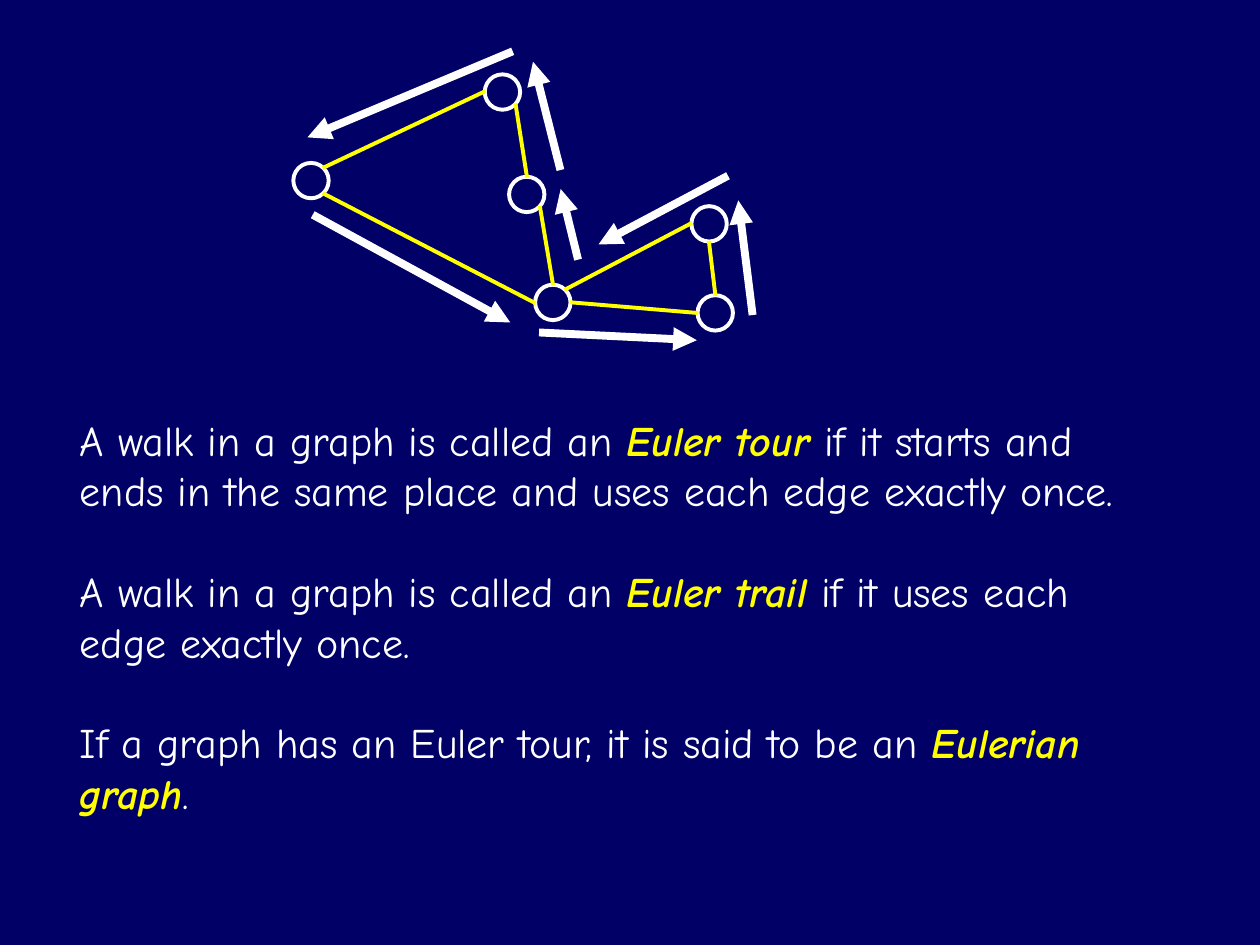
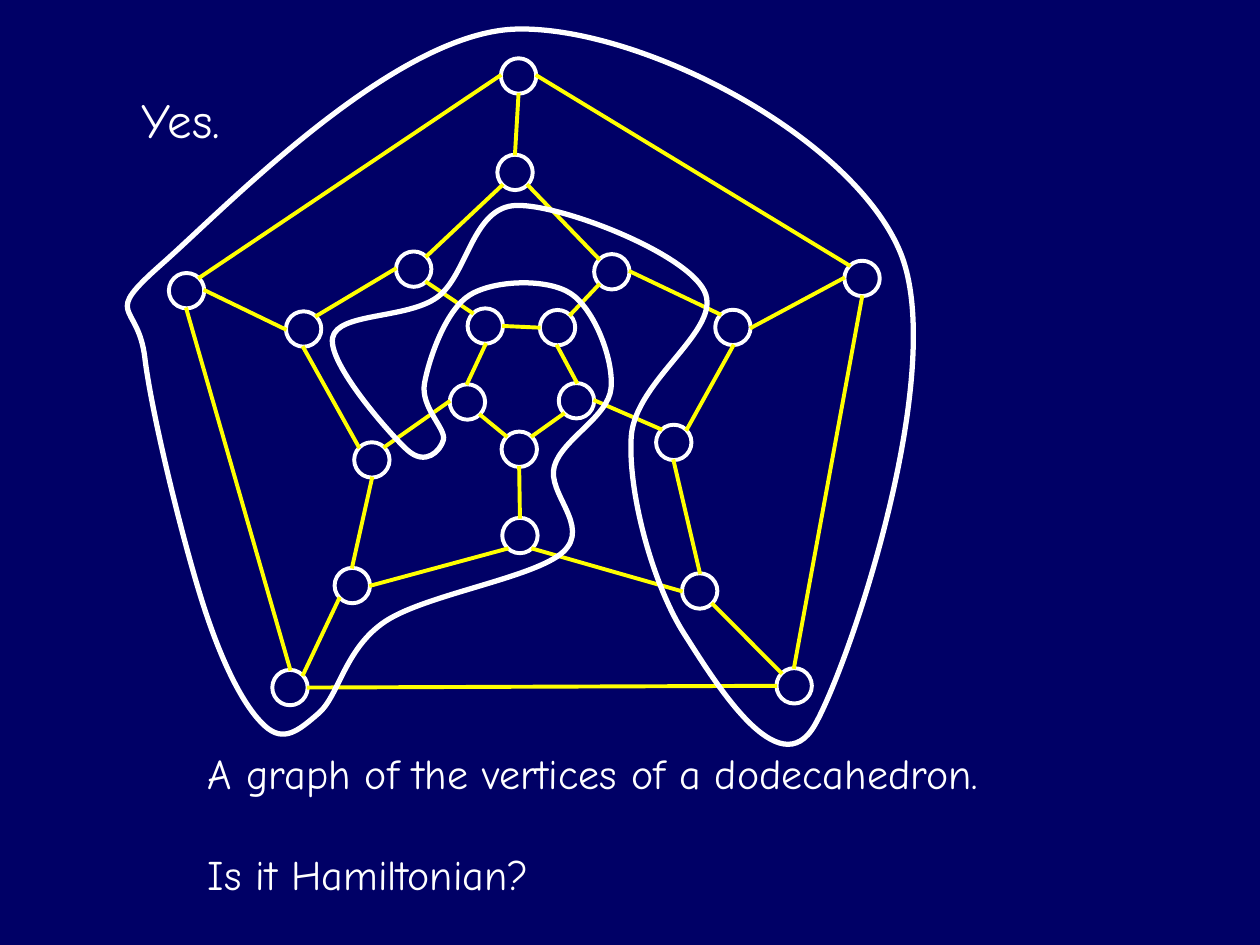
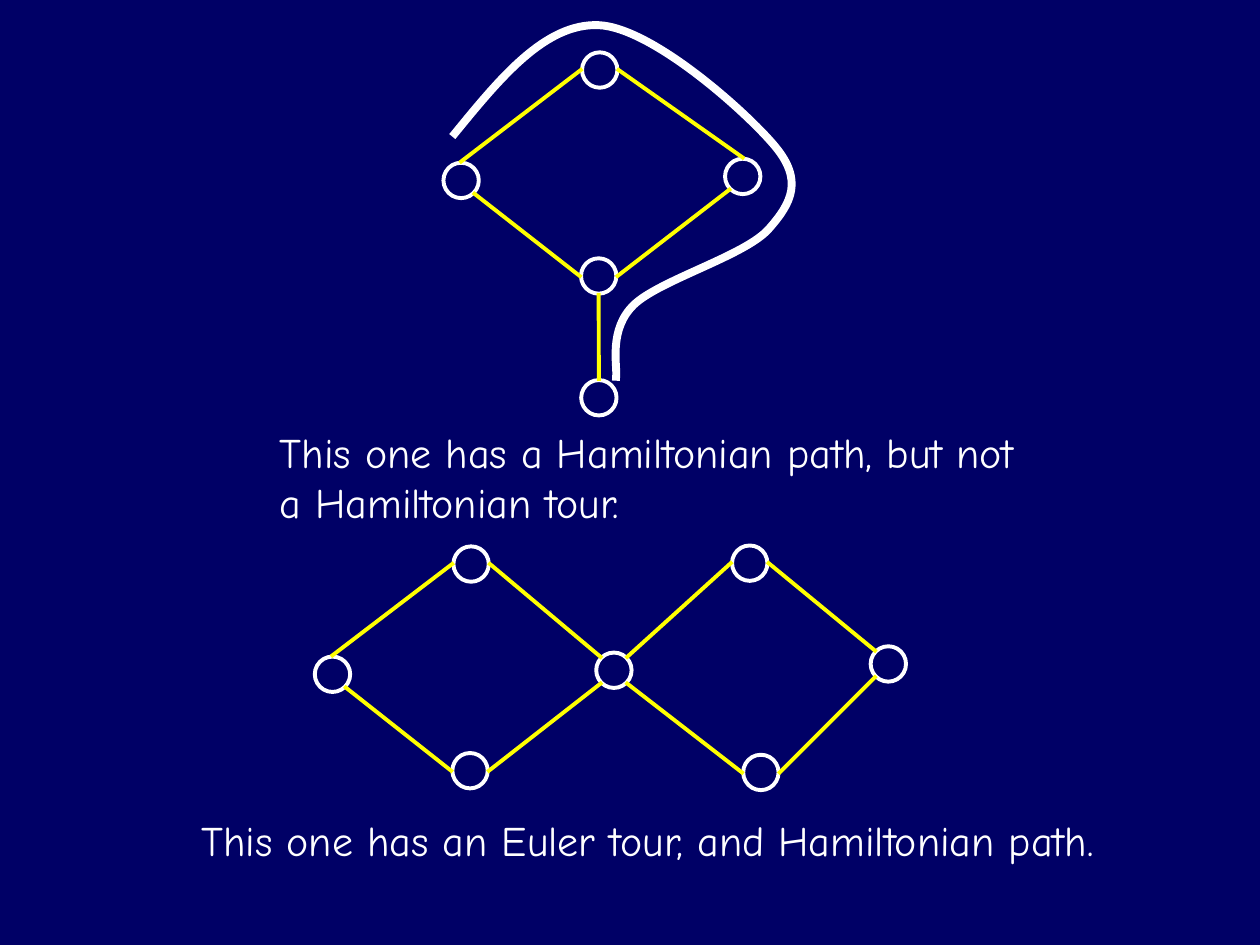
from math import sqrt

from lxml import etree
from pptx import Presentation
from pptx.dml.color import RGBColor
from pptx.enum.shapes import MSO_CONNECTOR, MSO_SHAPE
from pptx.enum.text import PP_ALIGN
from pptx.oxml.ns import qn
from pptx.util import Pt

STRAIGHT = MSO_CONNECTOR.STRAIGHT
OVAL = MSO_SHAPE.OVAL
LEFT, CENTER = PP_ALIGN.LEFT, PP_ALIGN.CENTER

NAVY = RGBColor(0x00, 0x00, 0x66)
WHITE = RGBColor(0xFF, 0xFF, 0xFF)
YELLOW = RGBColor(0xFF, 0xFF, 0x00)

FONT = "Comic Neue"
LINE_GAP = 28.8
NODE_RADIUS = 10.1
EDGE_REACH = 10.8
THIN, THICK = 2.25, 4.5

DIAGONAL = 1 / sqrt(2)
SITES = {
    "N": (0, -1), "E": (1, 0), "S": (0, 1), "W": (-1, 0),
    "NE": (DIAGONAL, -DIAGONAL), "SE": (DIAGONAL, DIAGONAL),
    "SW": (-DIAGONAL, DIAGONAL), "NW": (-DIAGONAL, -DIAGONAL),
}

EULER_ORIGIN = (160, 20)
EULER_NODES = {
    "top": (127.1, 32.6), "left": (17.7, 83.2), "middle": (141, 91.1),
    "hub": (155.9, 152.8), "upper": (245.2, 107.9), "lower": (248.7, 158.8),
}
EULER_EDGES = """top.W left.NE, top.SE middle.N, hub.N middle.SE, upper.W hub.NE,
    lower.N upper.S, lower.W hub.E, left.SE hub.W"""
EULER_WALK = [
    ((20.7, 103.8), (131.6, 164.3)),
    ((150.3, 170.1), (238.2, 174.4)),
    ((269.8, 157.8), (261.9, 94.5)),
    ((254, 81.5), (182, 119.7)),
    ((169.8, 126.2), (160.4, 88)),
    ((159.7, 75), (144.6, 15.3)),
    ((130.9, 10.2), (15.7, 58.5)),
]
EULER_DEFINITIONS = [
    "A walk in a graph is called an *Euler tour* if it starts and ends in the same "
    "place and uses each edge exactly once.",
    "A walk in a graph is called an *Euler trail* if it uses each edge exactly once.",
    "If a graph has an Euler tour, it is said to be an *Eulerian graph*.",
]

DODECAHEDRON_ORIGIN = (50, 10)
DODECAHEDRON_RINGS = {
    "A": [(246.3, 33.4), (442.6, 149.1), (403.8, 381.9), (115.7, 382.9), (56.6, 156.1)],
    "B": [(244.3, 88.5), (299.6, 145.3), (368.8, 177.1), (335, 242.8), (349.8, 327.7),
          (247.1, 296), (151.3, 324.6), (162.5, 252.8), (123.5, 178), (186.4, 143.8)],
    "C": [(268.6, 177.2), (279.4, 219), (246.7, 246.7), (217.1, 219.7), (227.3, 176.3)],
}
DODECAHEDRON_EDGES = """A5.NE A1.W, A2.NW A1.E, A5.S A4.N, A3.N A2.S, A4.E A3.W,
    B10.NE B1.SW, B2.NW B1.SE, B9.NE B10.W, B3.NW B2.E, B8.NW B9.S,
    B4.NE B3.S, B5.N B4.S, B7.N B8.S, B7.E B6.SW, B5.W B6.SE,
    B10.SE C5.NW, B2.SW C1.NE, B8.NE C4.W, C3.S B6.N, C2.E B4.NW,
    C4.N C5.S, C2.N C1.S, C4.SE C3.NW, C3.NE C2.SW, C5.E C1.W,
    A4.NE B7.SW, A5.E B9.W, A1.S B1.N, A3.NW B5.SE, B3.E A2.W"""
HAMILTON_TOUR = [
    (42.9, 140.5), (245.9, 6.6), (464.1, 133.3), (415.8, 404), (341, 352.2),
    (310.7, 239.8), (352.5, 156.3), (245.2, 107.4), (199.8, 159.9), (140.1, 183),
    (182.6, 247), (203.4, 241.3), (192.6, 208.9), (218.6, 158.5), (276.2, 157.8),
    (299.2, 211.8), (266.8, 256.4), (271.8, 305.4), (170.3, 345), (132.2, 397.5),
    (101.2, 404.7), (66.6, 337), (32.8, 194.5),
]

KITE_ORIGIN = (240, 10)
KITE_NODES = {
    "top": (102.7, 30), "left": (23.5, 93.1), "right": (184.4, 90.8),
    "bottom": (102.1, 147.7), "tail": (102.2, 217.3),
}
KITE_EDGES = """top.W left.N, top.E right.N, bottom.W left.SE, bottom.E right.SW,
    bottom.S tail.N"""
KITE_PATH = [(19.9, 66.3), (102, 4.4), (202.8, 73.5), (199.2, 121), (122.2, 164.2),
             (112.1, 205.3)]
KITE_LEAD_IN, KITE_LEAD_OUT = (-53.5, 194.5), (117.8, 203.1)

BOWTIE_ORIGIN = (170, 300)
BOWTIE_NODES = {
    "left": (20, 85.3), "upper1": (99.2, 22.3), "lower1": (98.6, 140.4),
    "hub": (180.8, 83), "upper2": (258.4, 21.8), "lower2": (264.8, 141.4),
    "right": (337.6, 79.4),
}
BOWTIE_EDGES = """upper1.W left.N, upper1.E hub.NW, lower1.W left.SE, lower1.E hub.SW,
    hub.NE upper2.W, right.NW upper2.E, lower2.W hub.SE, right.SW lower2.E"""


def add_text(slide, box, paragraphs, size=24, align=LEFT, wrap=True):
    """Write paragraphs in a box; words between asterisks are emphasised."""
    frame = slide.shapes.add_textbox(*map(Pt, box)).text_frame
    frame.word_wrap = wrap
    frame.margin_left = frame.margin_right = Pt(21.6)
    frame.margin_top = frame.margin_bottom = Pt(3.6)
    for index, text in enumerate(paragraphs):
        paragraph = frame.add_paragraph() if index else frame.paragraphs[0]
        paragraph.alignment = align
        paragraph.space_before = Pt(LINE_GAP if index else 0)
        paragraph.font.name = FONT
        paragraph.font.size = Pt(size)
        paragraph.font.color.rgb = WHITE
        for part, words in enumerate(text.split("*")):
            run = paragraph.add_run()
            run.text = words
            if part % 2:
                run.font.bold = run.font.italic = True
                run.font.color.rgb = YELLOW


def style_line(shape, color, width):
    """Colour the line of a shape and give it square ends."""
    shape.line.color.rgb = color
    shape.line.width = Pt(width)
    outline = shape.element.spPr.find(qn("a:ln"))
    outline.set("cap", "sq")
    return outline


def add_line(slide, origin, start, end, color, width, arrow=False):
    """Draw a straight line between two points measured from the origin."""
    ends = [Pt(base + offset) for point in (start, end)
            for base, offset in zip(origin, point)]
    connector = slide.shapes.add_connector(STRAIGHT, *ends)
    outline = style_line(connector, color, width)
    if arrow:
        etree.SubElement(outline, qn("a:tailEnd"), type="triangle")
    etree.SubElement(connector.element.spPr, qn("a:effectLst"))


def outline_only(shape, width):
    """Leave a shape with just a white outline."""
    shape.shadow.inherit = False
    shape.fill.background()
    style_line(shape, WHITE, width)


def site_point(nodes, end):
    """Return the point where an edge meets a node, given as node.site."""
    node, site = end.split(".")
    return [centre + EDGE_REACH * step for centre, step in zip(nodes[node], SITES[site])]


def add_graph(slide, origin, nodes, edges):
    """Draw the nodes and edges of a graph from its origin."""
    for x, y in nodes.values():
        corner = (origin[0] + x - NODE_RADIUS, origin[1] + y - NODE_RADIUS)
        node = slide.shapes.add_shape(
            OVAL, *map(Pt, corner), Pt(2 * NODE_RADIUS), Pt(2 * NODE_RADIUS))
        outline_only(node, THIN)
    for edge in edges.split(","):
        start, end = (site_point(nodes, end) for end in edge.split())
        add_line(slide, origin, start, end, YELLOW, THIN)


def bezier_points(before, start, end, after):
    """Return both handles and the end of a smooth segment between two knots."""
    leave = [s + (e - b) / 6 for b, s, e in zip(before, start, end)]
    arrive = [e - (a - s) / 6 for s, e, a in zip(start, end, after)]
    return [leave, arrive, end]


def add_curve(slide, origin, knots, width, closed=False):
    """Draw a smooth curve; the first and last knots only steer it."""
    points = [knots[1]]
    for first in range(len(knots) - 3):
        points += bezier_points(*knots[first:first + 4])
    places = [[Pt(base + offset) for base, offset in zip(origin, point)]
              for point in points]
    builder = slide.shapes.build_freeform(*places[0])
    builder.add_line_segments(places[1:], close=closed)
    curve = builder.convert_to_shape()
    segments = list(curve.element.iter(qn("a:lnTo")))
    for leave, arrive, end in zip(*[iter(segments)] * 3):
        bend = etree.Element(qn("a:cubicBezTo"))
        leave.addprevious(bend)
        for segment in (leave, arrive, end):
            bend.append(segment[0])
            segment.getparent().remove(segment)
    outline_only(curve, width)


def build_euler_slide(slide):
    """Define Euler tours and trails below a walked graph."""
    add_text(slide, (24, 233.3, 648, 237.6), EULER_DEFINITIONS)
    add_graph(slide, EULER_ORIGIN, EULER_NODES, EULER_EDGES)
    for start, end in EULER_WALK:
        add_line(slide, EULER_ORIGIN, start, end, WHITE, THICK, arrow=True)


def build_dodecahedron_slide(slide):
    """Show a Hamiltonian tour around the dodecahedron graph."""
    nodes = {f"{ring}{number}": centre
             for ring, centres in DODECAHEDRON_RINGS.items()
             for number, centre in enumerate(centres, 1)}
    add_text(slide, (97.2, 423.6, 530, 93.6),
             ["A graph of the vertices of a dodecahedron.", "Is it Hamiltonian?"])
    add_graph(slide, DODECAHEDRON_ORIGIN, nodes, DODECAHEDRON_EDGES)
    add_text(slide, (58.3, 47.5, 90, 41), ["Yes."], 28, CENTER, wrap=False)
    knots = HAMILTON_TOUR[-1:] + HAMILTON_TOUR + HAMILTON_TOUR[:2]
    add_curve(slide, DODECAHEDRON_ORIGIN, knots, 3, closed=True)


def build_comparison_slide(slide):
    """Compare a graph with a Hamiltonian path and one with an Euler tour."""
    add_text(slide, (138.2, 240, 466.6, 64.8),
             ["This one has a Hamiltonian path, but not a Hamiltonian tour."])
    add_text(slide, (91.4, 462.2, 557.3, 36),
             ["This one has an Euler tour, and Hamiltonian path."],
             align=CENTER, wrap=False)
    add_graph(slide, KITE_ORIGIN, KITE_NODES, KITE_EDGES)
    add_curve(slide, KITE_ORIGIN, [KITE_LEAD_IN, *KITE_PATH, KITE_LEAD_OUT], THICK)
    add_graph(slide, BOWTIE_ORIGIN, BOWTIE_NODES, BOWTIE_EDGES)


def main():
    """Build the presentation and save it."""
    deck = Presentation()
    deck.slide_width, deck.slide_height = Pt(720), Pt(540)
    background = deck.slide_master.background.fill
    background.solid()
    background.fore_color.rgb = NAVY
    blank = deck.slide_layouts.get_by_name("Blank")
    for build in (build_euler_slide, build_dodecahedron_slide, build_comparison_slide):
        build(deck.slides.add_slide(blank))
    deck.save("out.pptx")


if __name__ == "__main__":
    main()
